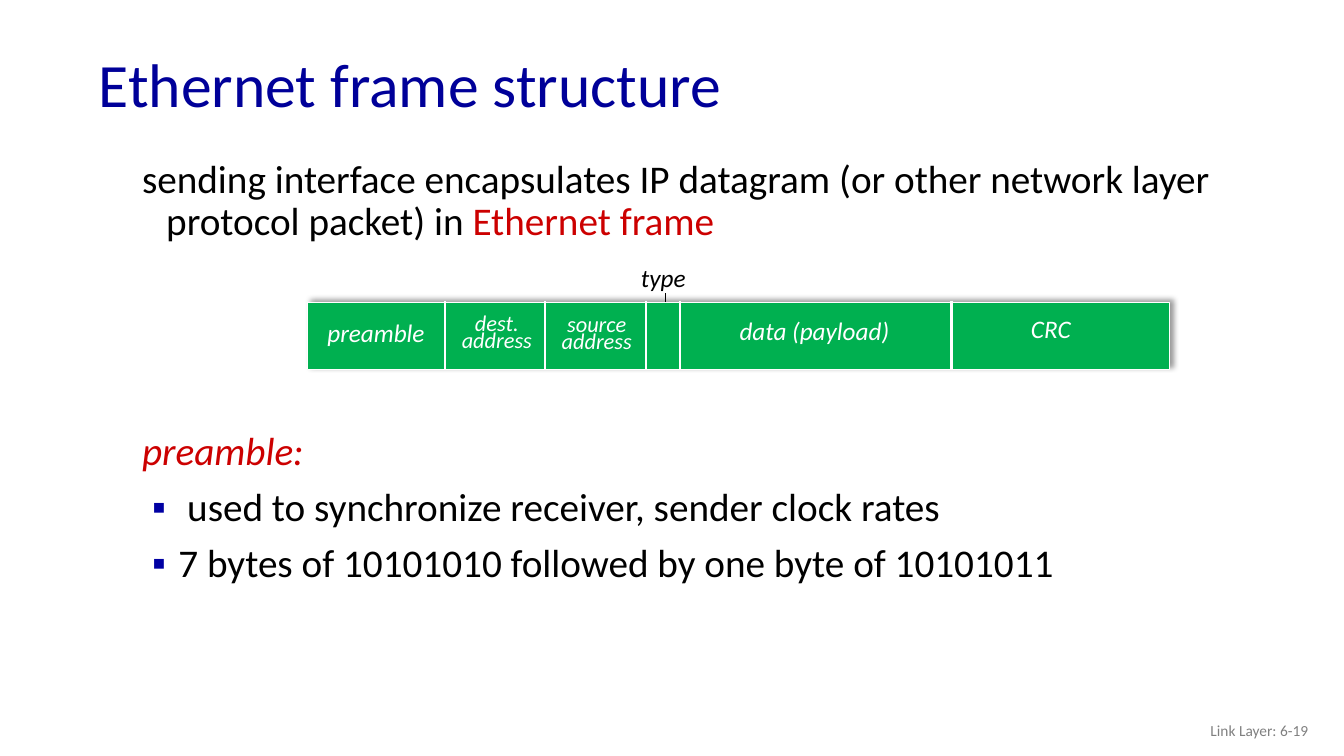
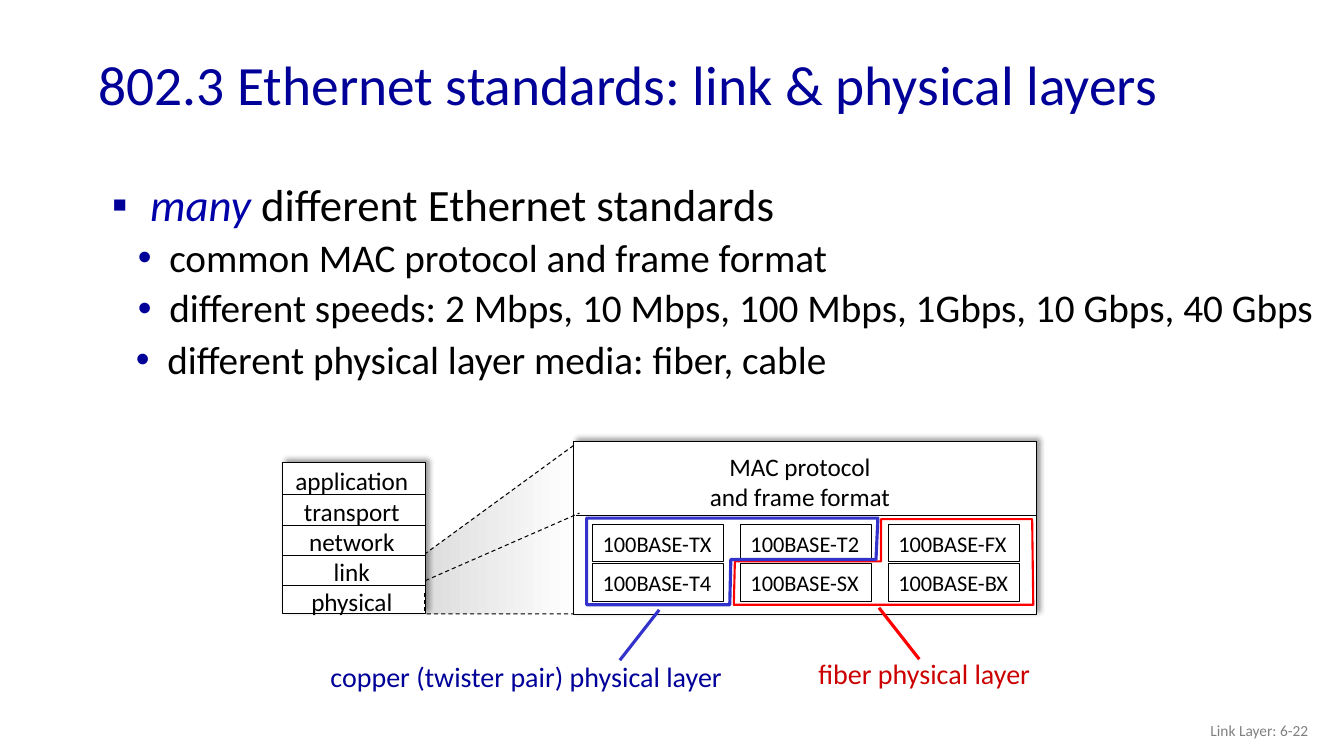
from dataclasses import dataclass

from lxml import etree
from pptx import Presentation
from pptx import util as u
from pptx.dml.color import RGBColor
from pptx.enum import dml, shapes, text
from pptx.oxml.ns import qn


@dataclass(frozen=True)
class Theme:
    font: str = "Calibri"
    navy: str = "000099"
    marker: str = "0000A3"
    emphasis: str = "0000A8"
    red: str = "CC0000"
    fiber: str = "FF0000"
    copper: str = "3333CC"
    green: str = "00B050"
    black: str = "000000"
    white: str = "FFFFFF"
    gray: str = "808080"
    haze: str = "DDDDDD"
    title: float = 44
    long_title: float = 39.6
    heading: float = 32
    body: float = 28
    caption: float = 20
    label: float = 18
    small: float = 16
    footer: float = 11


theme = Theme()
align, anchors = text.PP_ALIGN, text.MSO_ANCHOR

deck = Presentation()
deck.slide_width, deck.slide_height = u.Inches(13.33), u.Inches(7.5)
COL, ROW = deck.slide_width / 100, deck.slide_height / 100


def write(shape, *paragraphs, size=theme.body, color=theme.black, italic=False,
          to=align.LEFT, anchor=anchors.TOP, wrap=True, leading=None, before=0,
          margin=0, hang=0, bullet=None, bullet_color=theme.navy, level=0):
    frame = shape.text_frame
    frame.word_wrap, frame.vertical_anchor = wrap, anchor
    frame.auto_size = text.MSO_AUTO_SIZE.NONE
    for runs in paragraphs:
        p = frame.add_paragraph() if frame.text else frame.paragraphs[0]
        p.alignment, p.level = to, level
        p.line_spacing, p.space_before = leading, u.Pt(before)
        props = p._p.get_or_add_pPr()
        props.set("marL", str(round(margin * COL)))
        props.set("indent", str(round(-hang * COL)))
        if bullet:
            tint = etree.SubElement(props, qn("a:buClr"))
            etree.SubElement(tint, qn("a:srgbClr"), val=bullet_color)
            etree.SubElement(props, qn("a:buFont"), typeface="Arial")
            etree.SubElement(props, qn("a:buChar"), char=bullet)
        for words, ink, slant in [(runs, color, italic)] if isinstance(runs, str) else runs:
            run = p.add_run()
            run.text = words
            run.font.name, run.font.size = theme.font, u.Pt(size)
            run.font.italic, run.font.color.rgb = slant, RGBColor.from_string(ink)


def draw(slide, kind, *points, line=theme.black, weight=0.75, dash=False,
         fill=None, shadow=False):
    spots = [(round(x * COL), round(y * ROW)) for x, y in points]
    start, end = spots[:2]
    if kind == "text":
        return slide.shapes.add_textbox(*start, *end)
    if kind == "line":
        shape = slide.shapes.add_connector(shapes.MSO_CONNECTOR.STRAIGHT, *start, *end)
    elif kind == "box":
        shape = slide.shapes.add_shape(shapes.MSO_SHAPE.RECTANGLE, *start, *end)
    else:
        outline = slide.shapes.build_freeform(*start, scale=1.0)
        outline.add_line_segments(spots[1:], close=True)
        shape = outline.convert_to_shape()
    shape.line.color.rgb, shape.line.width = RGBColor.from_string(line), u.Pt(weight)
    if dash:
        shape.line.dash_style = dml.MSO_LINE.DASH
    if kind == "line":
        etree.SubElement(shape._element.spPr, qn("a:effectLst"))
        return shape
    if fill:
        shape.fill.solid()
        shape.fill.fore_color.rgb = RGBColor.from_string(fill)
    else:
        shape.fill.background()
    shape.shadow.inherit = False
    if shadow:
        effects = shape._element.spPr.find(qn("a:effectLst"))
        cast = etree.SubElement(effects, qn("a:outerShdw"), blurRad=str(u.Pt(4)),
                                dist=str(u.Pt(3)), dir=str(315 * 60000),
                                algn="bl", rotWithShape="0")
        tint = etree.SubElement(cast, qn("a:srgbClr"), val=theme.black)
        etree.SubElement(tint, qn("a:alpha"), val="40000")
    return shape


pages = []
for heading, size, number in [
    ("Ethernet frame structure", theme.title, "6-19"),
    ("802.3 Ethernet standards: link & physical layers", theme.long_title, "6-22"),
]:
    page = deck.slides.add_slide(deck.slide_layouts[5])
    title = page.shapes.title
    title.left, title.top = round(6.6 * COL), round(5.07 * ROW)
    title.width, title.height = round(86.25 * COL), round(13.07 * ROW)
    write(title, heading, size=size, color=theme.navy, anchor=anchors.MIDDLE, leading=0.9)
    write(draw(page, "text", (75.6, 94), (22.5, 5.33)), f"Link Layer: {number}",
          size=theme.footer, color=theme.gray, to=align.RIGHT, anchor=anchors.MIDDLE)
    pages.append(page)
structure, standards = pages

lead = dict(leading=0.9, before=10, margin=2.93, hang=1.8)
write(draw(structure, "text", (8.7, 20.4), (91.3, 16)),
      [("sending interface encapsulates IP datagram (or other network layer "
        "protocol packet) in ", theme.black, False),
       ("Ethernet frame", theme.red, False)], **lead)

draw(structure, "line", (49.5, 38.8), (49.5, 42.1))
draw(structure, "box", (22.88, 40), (64.12, 8.93), line=theme.white,
     fill=theme.green, shadow=True)
for divider in (33.08, 40.58, 48.08, 50.62, 70.8):
    draw(structure, "line", (divider, 39.8), (divider, 48.93), line=theme.white, weight=1.5)
for field, left, top, width, size in [
    (["preamble"], 22.5, 43.07, 10.95, theme.label),
    (["dest.", "address"], 32.62, 41.6, 8.7, theme.small),
    (["source", "address"], 40.05, 41.73, 8.7, theme.small),
    (["data (payload)"], 53.55, 42.8, 14.1, theme.label),
    (["CRC"], 73.8, 42.53, 8.78, theme.label),
]:
    write(draw(structure, "text", (left, top), (width, 3.47)), *field, size=size,
          color=theme.white, italic=True, to=align.CENTER, leading=u.Pt(12))
write(draw(structure, "text", (46.95, 34), (7.88, 4.8)), "type",
      size=theme.label, italic=True)

preamble = draw(structure, "text", (8.7, 56.4), (91.3, 30))
write(preamble, "preamble:", color=theme.red, italic=True, **lead)
write(preamble, " used to synchronize receiver, sender clock rates",
      "7 bytes of 10101010 followed by one byte of 10101011",
      leading=0.9, before=10, margin=3.83, hang=1.95,
      bullet="▪", bullet_color=theme.marker)

detail = dict(leading=0.9, before=theme.body / 5, margin=4.28, hang=2.33,
              bullet="•", level=1)
variety = draw(standards, "text", (7.58, 23.47), (91.88, 23.2))
write(variety, [("many ", theme.emphasis, True),
                ("different Ethernet standards", theme.black, False)],
      size=theme.heading, leading=0.9, before=theme.heading / 5,
      margin=2.85, hang=2.85, bullet="▪")
write(variety, "common MAC protocol and frame format",
      "different speeds: 2 Mbps, 10 Mbps, 100 Mbps, 1Gbps, 10 Gbps, 40 Gbps", **detail)
write(draw(standards, "text", (7.43, 44.4), (91.88, 6.8)),
      "different physical layer media: fiber, cable", **detail)

zoom = draw(standards, "path", (42.68, 58.93), (31.58, 73.33), (31.65, 81.2),
            (42.98, 81.2), dash=True)
zoom.fill.gradient()
zoom.fill.gradient_angle = 0
for stop, shade in zip(zoom.fill.gradient_stops, (theme.haze, theme.white)):
    stop.color.rgb = RGBColor.from_string(shade)

draw(standards, "box", (21, 61.2), (10.65, 20), fill=theme.white, shadow=True)
write(draw(standards, "text", (21.15, 60.93), (10.05, 21.6)),
      "application", "transport", "network", "link", "physical",
      size=theme.label, to=align.CENTER, wrap=False)
for layer in range(4):
    border = 65.47 + 4 * layer
    draw(standards, "line", (21, border), (31.6, border))
for side in (21, 31.6):
    draw(standards, "line", (side, 78.4), (side, 80.8), dash=True)

draw(standards, "box", (42.68, 58.4), (34.42, 22.93), fill=theme.white, shadow=True)
draw(standards, "line", (42.83, 68.13), (77.1, 68.13))
write(draw(standards, "text", (51.98, 59.07), (15.08, 9.47)),
      "MAC protocol", "and frame format", size=theme.label, to=align.CENTER, wrap=False)
draw(standards, "line", (31.65, 76.8), (43.12, 67.87), dash=True)

for row, variants in enumerate([("TX", "T2", "FX"), ("T4", "SX", "BX")]):
    for column, variant in enumerate(variants):
        card = draw(standards, "box", (44.1 + 11 * column, 69.4 + 5.2 * row), (9.75, 4.93))
        write(card, f"100BASE-{variant}", size=theme.small, wrap=False)

for medium, color, ink, weight, outline, pointer, place, extent in [
    ("fiber physical layer", theme.fiber, theme.red, 1.5,
     [(65.55, 68.67), (65.55, 74.27), (54.68, 74.27), (54.6, 80), (76.88, 80), (76.8, 68.67)],
     [(65.4, 80.4), (68.4, 87.2)], (60.15, 86.13), (17.4, 5.87)),
    ("copper (twister pair) physical layer", theme.copper, theme.navy, 2.25,
     [(65.32, 68.53), (65.18, 74), (54.38, 74), (54.3, 80), (43.65, 80), (43.65, 68.53)],
     [(49.05, 80.67), (46.12, 87.33)], (23.85, 86.53), (31.95, 5.87)),
]:
    draw(standards, "path", *outline, line=color, weight=weight)
    draw(standards, "line", *pointer, line=color, weight=2.25)
    write(draw(standards, "text", place, extent), medium,
          size=theme.caption, color=ink, wrap=False)

deck.save("out.pptx")
